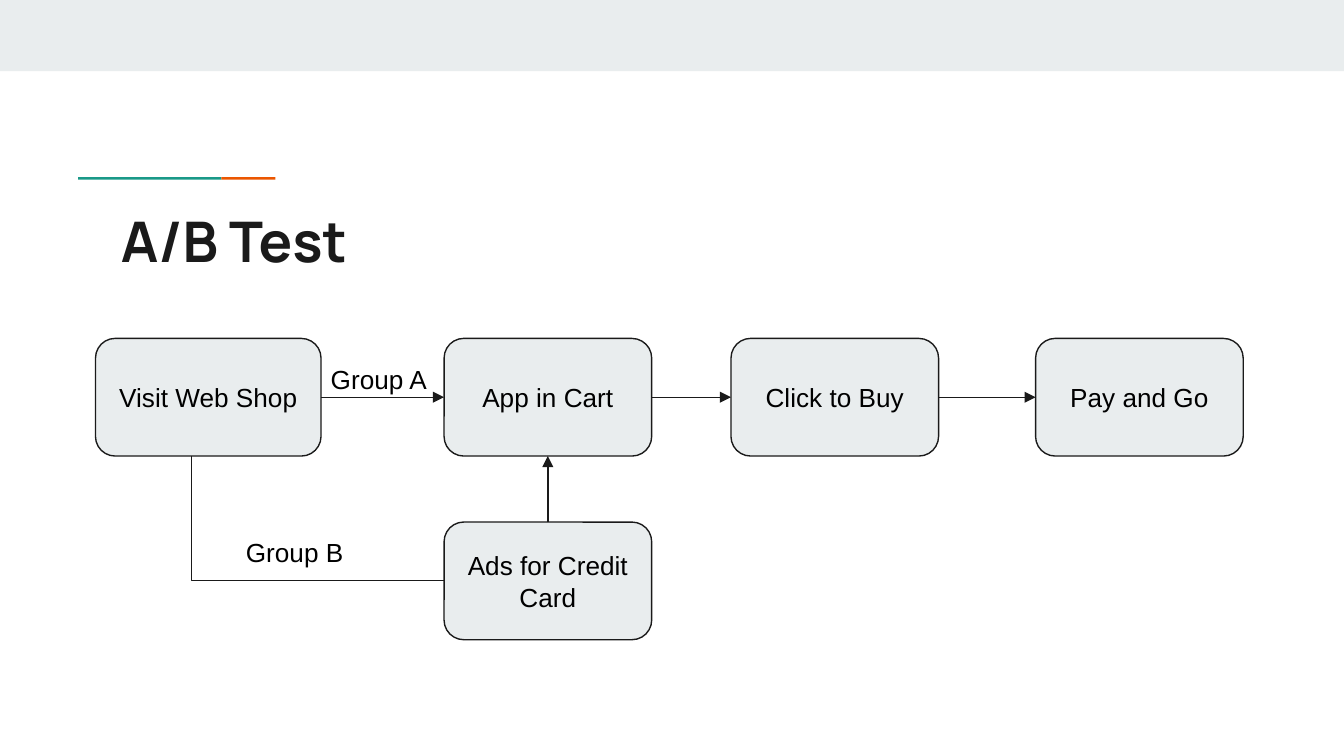
from dataclasses import dataclass
from typing import Any

import lxml.etree
import pptx
import pptx.dml.color
import pptx.enum.shapes
import pptx.enum.text
import pptx.oxml.ns
import pptx.util

Pt = pptx.util.Pt
Color = pptx.dml.color.RGBColor.from_string
Shapes = pptx.enum.shapes.MSO_SHAPE
Connectors = pptx.enum.shapes.MSO_CONNECTOR
Anchor = pptx.enum.text.MSO_ANCHOR
Align = pptx.enum.text.PP_ALIGN
qn = pptx.oxml.ns.qn


@dataclass(frozen=True)
class Theme:
    ink: str = "1A1A1A"
    text: str = "000000"
    panel: str = "E9EDEE"
    teal: str = "1A9988"
    orange: str = "EB5600"
    title_font: str = "Manrope"
    body_font: str = "Arial"
    title_size: float = 30
    body_size: float = 14
    line_width: float = 0.75
    inset: float = 7.2


@dataclass(frozen=True)
class Box:
    left: float
    top: float
    width: float
    height: float


@dataclass(frozen=True)
class Step:
    text: str
    box: Box


@dataclass(frozen=True)
class Arrow:
    source: str
    source_site: int
    target: str
    target_site: int


THEME = Theme()
TOP, LEFT, BOTTOM, RIGHT = range(4)
ROW_TOP, BRANCH_TOP = 181.3, 279.7
STEP_WIDTH, STEP_HEIGHT = 111.2, 63
CART_LEFT = 237.9

BARS = [
    (Box(0, 0, 720, 38.2), THEME.panel),
    (Box(41.8, 94.9, 76.8, 1.4), THEME.teal),
    (Box(118.6, 94.9, 29, 1.4), THEME.orange),
]
STEPS = [
    Step("Visit Web Shop", Box(51.2, ROW_TOP, 120.8, STEP_HEIGHT)),
    Step("App in Cart", Box(CART_LEFT, ROW_TOP, STEP_WIDTH, STEP_HEIGHT)),
    Step("Click to Buy", Box(391.6, ROW_TOP, STEP_WIDTH, STEP_HEIGHT)),
    Step("Pay and Go", Box(554.8, ROW_TOP, STEP_WIDTH, STEP_HEIGHT)),
    Step("Ads for Credit Card", Box(CART_LEFT, BRANCH_TOP, STEP_WIDTH, STEP_HEIGHT)),
]
ARROWS = [
    Arrow("Visit Web Shop", RIGHT, "App in Cart", LEFT),
    Arrow("App in Cart", RIGHT, "Click to Buy", LEFT),
    Arrow("Click to Buy", RIGHT, "Pay and Go", LEFT),
    Arrow("Ads for Credit Card", TOP, "App in Cart", BOTTOM),
]
LABELS = [
    Step("Group B", Box(124.6, 280.1, 85.7, 25.9)),
    Step("Group A", Box(170.1, 187.4, 69.8, 25.9)),
]


def apply(target: Any, values: dict[str, Any]) -> None:
    for name, value in values.items():
        setattr(target, name, value)


def lengths(box: Box) -> tuple:
    return Pt(box.left), Pt(box.top), Pt(box.width), Pt(box.height)


def write(shape: Any, text: str, align: Any, anchor: Any, font: dict[str, Any], color: str) -> None:
    frame = shape.text_frame
    sides = ("left", "top", "right", "bottom")
    apply(frame, {f"margin_{side}": Pt(THEME.inset) for side in sides})
    apply(frame, {
        "word_wrap": True,
        "auto_size": pptx.enum.text.MSO_AUTO_SIZE.NONE,
        "vertical_anchor": anchor,
        "text": text,
    })
    paragraph = frame.paragraphs[0]
    paragraph.alignment = align
    run_font = paragraph.runs[0].font
    apply(run_font, font)
    run_font.color.rgb = Color(color)


def write_body(shape: Any, text: str, align: Any, anchor: Any) -> None:
    font = {"name": THEME.body_font, "size": Pt(THEME.body_size), "bold": False}
    write(shape, text, align, anchor, font, THEME.text)


def outline(shape: Any) -> None:
    shape.line.color.rgb = Color(THEME.ink)
    shape.line.width = Pt(THEME.line_width)


def draw_filled(slide: Any, kind: Any, box: Box, color: str) -> Any:
    shape = slide.shapes.add_shape(kind, *lengths(box))
    shape.shadow.inherit = False
    shape.fill.solid()
    shape.fill.fore_color.rgb = Color(color)
    shape.line.fill.background()
    return shape


def draw_step(slide: Any, step: Step) -> Any:
    shape = draw_filled(slide, Shapes.ROUNDED_RECTANGLE, step.box, THEME.panel)
    outline(shape)
    write_body(shape, step.text, Align.CENTER, Anchor.MIDDLE)
    return shape


def draw_label(slide: Any, label: Step) -> None:
    shape = slide.shapes.add_textbox(*lengths(label.box))
    write_body(shape, label.text, Align.LEFT, Anchor.TOP)


def draw_connector(slide: Any, kind: Any, *points: float) -> Any:
    connector = slide.shapes.add_connector(kind, *map(Pt, points))
    outline(connector)
    lxml.etree.SubElement(connector._element.spPr, qn("a:effectLst"))
    return connector


def draw_arrow(slide: Any, arrow: Arrow, shapes: dict[str, Any]) -> None:
    connector = draw_connector(slide, Connectors.STRAIGHT, 0, 0, 0, 0)
    connector.begin_connect(shapes[arrow.source], arrow.source_site)
    connector.end_connect(shapes[arrow.target], arrow.target_site)
    line = connector._element.spPr.find(qn("a:ln"))
    lxml.etree.SubElement(line, qn("a:tailEnd"), type="triangle")


def draw_branch(slide: Any) -> None:
    connector = draw_connector(
        slide, Connectors.ELBOW,
        102.6, ROW_TOP + STEP_HEIGHT, CART_LEFT, BRANCH_TOP + STEP_HEIGHT / 2,
    )
    adjustments = connector._element.spPr.find(qn("a:prstGeom")).find(qn("a:avLst"))
    lxml.etree.SubElement(adjustments, qn("a:gd"), name="adj1", fmla="val 0")


def draw_title(slide: Any) -> None:
    title = slide.shapes.title
    apply(title, dict(zip(("left", "top", "width", "height"), lengths(Box(57.6, 103.7, 605.5, 42.5)))))
    font = {"name": THEME.title_font, "size": Pt(THEME.title_size), "bold": True}
    write(title, "A/B Test", Align.LEFT, Anchor.TOP, font, THEME.ink)


def main() -> None:
    presentation = pptx.Presentation()
    apply(presentation, {"slide_width": Pt(720), "slide_height": Pt(405)})
    slide = presentation.slides.add_slide(presentation.slide_layouts.get_by_name("Title Only"))
    for box, color in BARS:
        draw_filled(slide, Shapes.RECTANGLE, box, color)
    draw_title(slide)
    shapes = {step.text: draw_step(slide, step) for step in STEPS}
    for arrow in ARROWS:
        draw_arrow(slide, arrow, shapes)
    draw_branch(slide)
    for label in LABELS:
        draw_label(slide, label)
    presentation.save("out.pptx")


if __name__ == "__main__":
    main()
